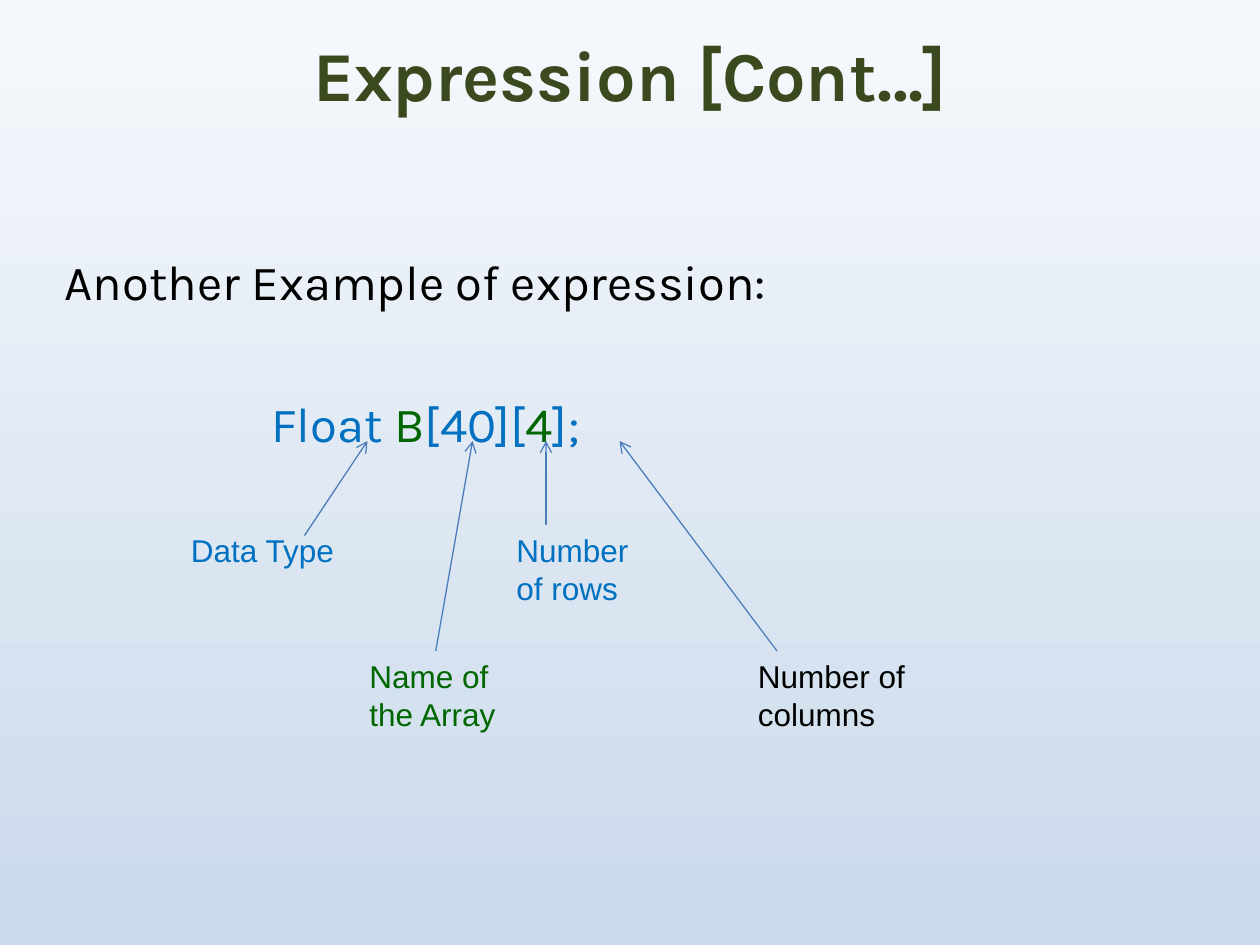
from lxml import etree
from pptx import Presentation
from pptx.dml.color import RGBColor
from pptx.enum.shapes import MSO_CONNECTOR
from pptx.enum.text import MSO_ANCHOR, MSO_AUTO_SIZE, PP_ALIGN
from pptx.oxml.ns import qn
from pptx.util import Pt

STRAIGHT = MSO_CONNECTOR.STRAIGHT
MIDDLE = MSO_ANCHOR.MIDDLE
FIT_SHAPE = MSO_AUTO_SIZE.SHAPE_TO_FIT_TEXT
LEFT, CENTER = PP_ALIGN.LEFT, PP_ALIGN.CENTER
TOP_SIDE = 0

COLORS = {
    "sky": "F6F9FC",
    "mist": "CAD9EB",
    "olive": "3B4A1E",
    "black": "000000",
    "blue": "0070C0",
    "green": "006600",
    "arrow": "4A7EBB",
}


def rgb(name):
    return RGBColor.from_string(COLORS[name])


class Lesson:
    heading_font = "Karla"
    label_font = "Arial"

    def __init__(self, page):
        self.page = page

    def background(self, top, bottom):
        fill = self.page.background.fill
        fill.gradient()
        fill.gradient_angle = 270
        for stop, color, position in zip(fill.gradient_stops, (top, bottom), (0, 1)):
            stop.color.rgb = rgb(color)
            stop.position = position

    def text_box(self, left, top, width, height):
        box = self.page.shapes.add_textbox(Pt(left), Pt(top), Pt(width), Pt(height))
        box.text_frame.word_wrap = True
        return box

    def add_spans(self, para, spans, size, font, bold=False, align=LEFT):
        para.alignment = align
        for text, color in spans:
            span = para.add_run()
            span.text = text
            span.font.size = Pt(size)
            span.font.name = font
            span.font.bold = bold
            span.font.color.rgb = rgb(color)

    def title(self, text):
        box = self.text_box(36, 6, 648, 72)
        box.text_frame.vertical_anchor = MIDDLE
        self.add_spans(box.text_frame.paragraphs[0], [(text, "olive")], 40,
                       self.heading_font, bold=True, align=CENTER)

    def example(self, intro, expression):
        frame = self.text_box(30, 140, 618, 124).text_frame
        self.add_spans(frame.paragraphs[0], [(intro, "black")], 28, self.heading_font)
        para = frame.add_paragraph()
        para.space_before = Pt(48)
        para._p.get_or_add_pPr().set("marL", str(Pt(118)))
        self.add_spans(para, expression, 28, self.heading_font)

    def label(self, text, color, left, top, width, height):
        box = self.text_box(left, top, width, height)
        box.text_frame.auto_size = FIT_SHAPE
        self.add_spans(box.text_frame.paragraphs[0], [(text, color)], 18,
                       self.label_font)
        return box

    def arrow(self, start, end, source=None):
        connector = self.page.shapes.add_connector(STRAIGHT, *map(Pt, start + end))
        if source is not None:
            connector.begin_connect(source, TOP_SIDE)
        connector.line.color.rgb = rgb("arrow")
        connector.line.width = Pt(0.75)
        properties = connector._element.spPr
        etree.SubElement(properties.find(qn("a:ln")), qn("a:tailEnd"), type="arrow")
        etree.SubElement(properties, qn("a:effectLst"))


def main():
    deck = Presentation()
    deck.slide_width, deck.slide_height = Pt(720), Pt(540)
    lesson = Lesson(deck.slides.add_slide(deck.slide_layouts[6]))

    # Background, title and the expression
    lesson.background("sky", "mist")
    lesson.title("Expression [Cont…]")
    lesson.example("Another Example of expression:", [
        ("Float ", "blue"), ("B", "green"), ("[40][", "blue"),
        ("4", "green"), ("];", "blue"),
    ])

    # Labels in two rows, each with an arrow up to the expression
    upper, lower, tip = 300, 372, 252
    lesson.label("Data Type", "blue", 102, upper, 120, 29)
    array_name = lesson.label("Name of the Array", "green", 204, lower, 90, 50)
    lesson.label("Number of rows", "blue", 288, upper, 84, 50)
    lesson.label("Number of columns", "black", 426, lower, 114, 50)

    lesson.arrow((174, 306), (210, tip))
    lesson.arrow((249, lower), (270, tip), array_name)
    lesson.arrow((312, upper), (312, tip))
    lesson.arrow((444, lower), (354, tip))

    deck.save("out.pptx")


if __name__ == "__main__":
    main()
